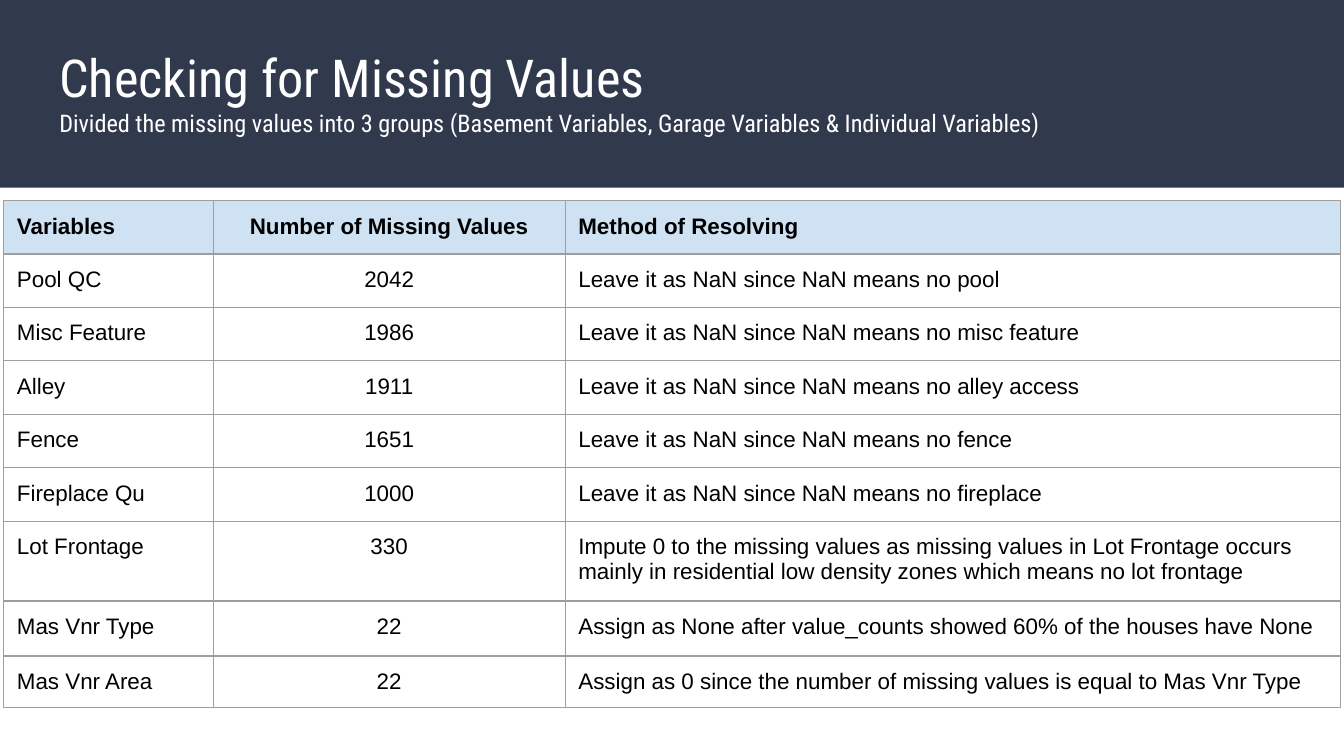
from lxml.etree import SubElement
from pptx import Presentation
from pptx.dml.color import RGBColor
from pptx.enum.shapes import MSO_SHAPE
from pptx.enum.text import MSO_ANCHOR, MSO_AUTO_SIZE, PP_ALIGN
from pptx.oxml.ns import qn
from pptx.util import Cm, Pt


def rgb(value):
    return RGBColor.from_string(value)


def add_borders(cell, color, width):
    tcPr = cell._tc.get_or_add_tcPr()
    for side in ("lnL", "lnR", "lnT", "lnB"):
        ln = SubElement(tcPr, qn(f"a:{side}"), w=str(width))
        fill = SubElement(ln, qn("a:solidFill"))
        SubElement(fill, qn("a:srgbClr"), val=color)


prs = Presentation()
prs.slide_width, prs.slide_height = Cm(25.4), Cm(14.29)
s = prs.slides.add_slide(prs.slide_layouts[5])

# Header band, behind the title
title = s.shapes.title
band = s.shapes.add_shape(MSO_SHAPE.RECTANGLE, 0, 0, prs.slide_width, Cm(3.55))
band.shadow.inherit = False
band.fill.solid()
band.fill.fore_color.rgb = rgb("31394D")
band.line.fill.background()
title.element.addprevious(band.element)

# Title and subtitle
title.left, title.top, title.width, title.height = Cm(0.87), Cm(0.57), Cm(23.67), Cm(2.51)
tf = title.text_frame
tf.text = (
    "Checking for Missing Values\n"
    "Divided the missing values into 3 groups "
    "(Basement Variables, Garage Variables & Individual Variables)"
)
tf.word_wrap = True
tf.auto_size = MSO_AUTO_SIZE.NONE
tf.vertical_anchor = MSO_ANCHOR.MIDDLE
tf.margin_left = tf.margin_right = tf.margin_top = Cm(0.25)
tf.margin_bottom = Cm(0.45)
for p, size in zip(tf.paragraphs, (28, 13)):
    p.alignment = PP_ALIGN.LEFT
    p.space_before = Pt(0)
    p.font.name = "Roboto Condensed"
    p.font.size = Pt(size)
    p.font.color.rgb = rgb("FFFFFF")

# Table of missing values
rows = [
    ("Variables", "Number of Missing Values", "Method of Resolving"),
    ("Pool QC", "2042", "Leave it as NaN since NaN means no pool"),
    ("Misc Feature", "1986", "Leave it as NaN since NaN means no misc feature"),
    ("Alley", "1911", "Leave it as NaN since NaN means no alley access"),
    ("Fence", "1651", "Leave it as NaN since NaN means no fence"),
    ("Fireplace Qu", "1000", "Leave it as NaN since NaN means no fireplace"),
    ("Lot Frontage", "330",
     "Impute 0 to the missing values as missing values in Lot Frontage occurs "
     "mainly in residential low density zones which means no lot frontage"),
    ("Mas Vnr Type", "22",
     "Assign as None after value_counts showed 60% of the houses have None"),
    ("Mas Vnr Area", "22",
     "Assign as 0 since the number of missing values is equal to Mas Vnr Type"),
]
col_widths = [3.96, 6.65, 14.66]
row_heights = [1.01] * 6 + [1.51, 1.04, 0.98]

table = s.shapes.add_table(
    len(rows), len(col_widths), Cm(0.07), Cm(3.79),
    Cm(sum(col_widths)), Cm(sum(row_heights)),
).table
table.first_row = table.horz_banding = False
for column, width in zip(table.columns, col_widths):
    column.width = Cm(width)
for i, (texts, height) in enumerate(zip(rows, row_heights)):
    table.rows[i].height = Cm(height)
    for j, text in enumerate(texts):
        cell = table.cell(i, j)
        cell.text = text
        cell.margin_left = cell.margin_right = Cm(0.25)
        cell.margin_top = cell.margin_bottom = Cm(0.25)
        add_borders(cell, "9E9E9E", Pt(0.75))
        if i == 0:
            cell.fill.solid()
            cell.fill.fore_color.rgb = rgb("CFE2F3")
        else:
            cell.fill.background()
        p = cell.text_frame.paragraphs[0]
        p.alignment = PP_ALIGN.CENTER if j == 1 else PP_ALIGN.LEFT
        p.font.name = "Arial"
        p.font.size = Pt(12)
        p.font.bold = i == 0
        p.font.color.rgb = rgb("000000")

prs.save("out.pptx")
